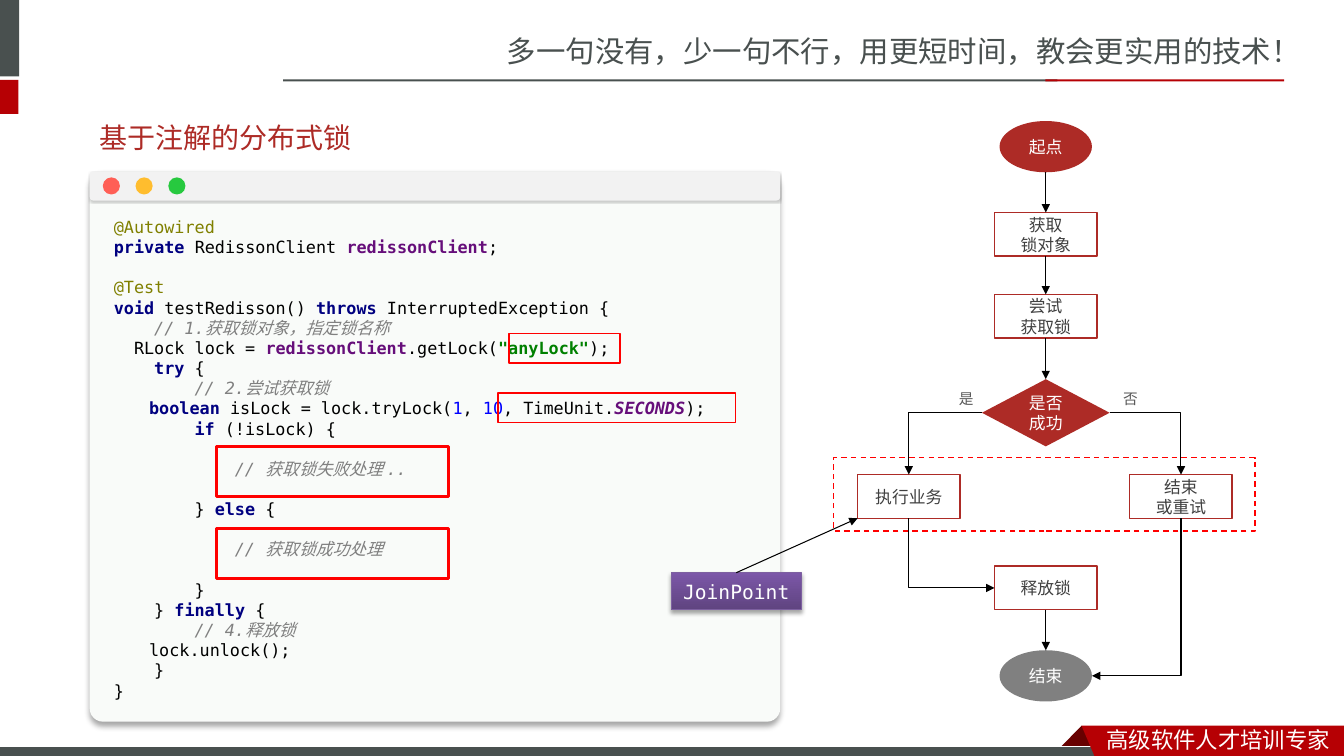
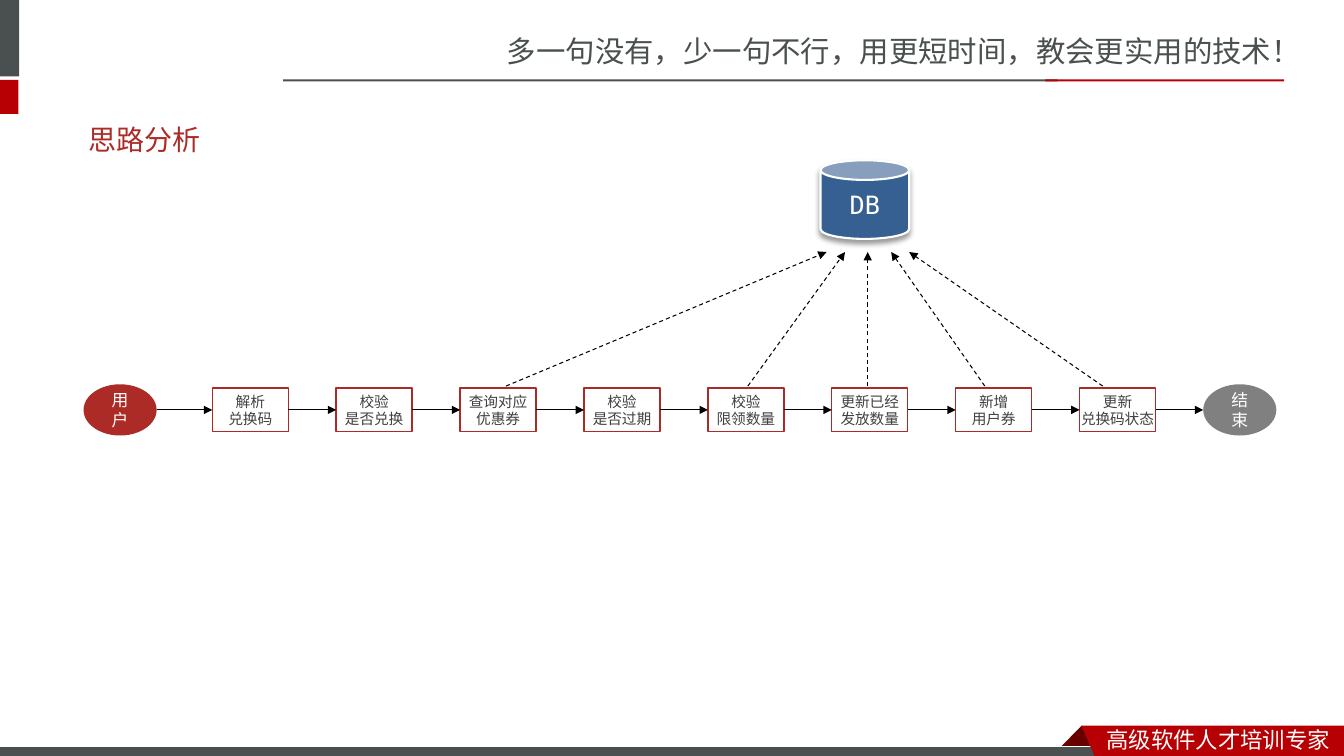
"""Build two slides on annotation-based locks and coupon redemption."""
import pptx
import pptx.dml.color
import pptx.enum.dml
import pptx.enum.shapes
import pptx.enum.text
import pptx.oxml.ns
import pptx.util
from lxml import etree

SHAPE = pptx.enum.shapes.MSO_SHAPE
LINK = pptx.enum.shapes.MSO_CONNECTOR
ALIGN = pptx.enum.text.PP_ALIGN
ANCHOR = pptx.enum.text.MSO_ANCHOR
Pt = pptx.util.Pt
qn = pptx.oxml.ns.qn

COLS, ROWS, CELL = 160, 90, 76200
TOP, LEFT, BOTTOM, RIGHT = range(4)
MONO, BODY, CJK, HEAD = "DejaVu Sans Mono", "Calibri", "Noto Sans CJK SC", "Lato"
SLATE, RED, BRICK, GREY, WHITE = "49504F", "B60004", "AD2B26", "808080", "FFFFFF"
BLACK, ALERT, INK = "000000", "FF0000", "404040"
CODE_SIZE, CODE_PITCH, CHAR = 12, 14.4, 1.2

TOKENS = {
    "plain": (BLACK, False, False),
    "key": ("000080", True, False),
    "note": ("808000", False, False),
    "field": ("660E7A", True, False),
    "const": ("660E7A", True, True),
    "str": ("008000", True, False),
    "num": ("0000FF", False, False),
    "rem": (GREY, False, True),
}

CODE = [
    (0, 0, [("note", "@Autowired")]),
    (0, 0, [("key", "private "), ("plain", "RedissonClient "),
            ("field", "redissonClient"), ("plain", ";")]),
    (0, 1, [("note", "@Test")]),
    (0, 0, [("key", "void "), ("plain", "testRedisson() "), ("key", "throws "),
            ("plain", "InterruptedException {")]),
    (4, 0, [("rem", "// 1.获取锁对象，指定锁名称")]),
    (2, 0, [("plain", "RLock lock = "), ("field", "redissonClient"),
            ("plain", ".getLock("), ("str", '"anyLock"'), ("plain", ");")]),
    (4, 0, [("key", "try "), ("plain", "{")]),
    (8, 0, [("rem", "// 2.尝试获取锁")]),
    (3.5, 0, [("key", "boolean "), ("plain", "isLock = lock.tryLock("),
              ("num", "1"), ("plain", ", "), ("num", "10"),
              ("plain", ", TimeUnit."), ("const", "SECONDS"), ("plain", ");")]),
    (8, 0, [("key", "if "), ("plain", "(!isLock) {")]),
    (12, 1, [("rem", "// 获取锁失败处理 ..")]),
    (8, 1, [("plain", "} "), ("key", "else "), ("plain", "{")]),
    (12, 1, [("rem", "// 获取锁成功处理")]),
    (8, 1, [("plain", "}")]),
    (4, 0, [("plain", "} "), ("key", "finally "), ("plain", "{")]),
    (8, 0, [("rem", "// 4.释放锁")]),
    (3.5, 0, [("plain", "lock.unlock();")]),
    (4, 0, [("plain", "}")]),
    (0, 0, [("plain", "}")]),
]


def rgb(value):
    """Turn a hex string into a colour."""
    return pptx.dml.color.RGBColor.from_string(value)


def cells(*values):
    """Turn grid cells into lengths."""
    return [pptx.util.Emu(round(v * CELL)) for v in values]


class Deck:
    """Hold the style, the presentation and the current slide."""

    def __init__(self):
        """Start an empty deck of the grid's size."""
        self.prs = pptx.Presentation()
        self.prs.slide_width, self.prs.slide_height = cells(COLS, ROWS)
        self.shapes = None

    def slide(self, title, x, y):
        """Add a slide with its frame and title."""
        self.shapes = self.prs.slides.add_slide(self.prs.slide_layouts[6]).shapes
        self.text(59.16, 3.36, 100.84, 5.6, ["多一句没有，少一句不行，用更短时间，教会更实用的技术！"],
                  21, SLATE, CJK)
        self.box(0, 0, 2.28, 9.1, SLATE)
        self.box(0, 9.5, 2.2, 4.06, RED)
        self.box(33.72, 9.45, 92.16, 0.24, SLATE)
        self.box(124.44, 9.45, 28.44, 0.24, RED)
        self.outline([(128.76, 86.4), (131.4, 89.1), (126.12, 89.1)], "680000")
        self.box(-0.12, 88.92, 132, 1.44, SLATE, WHITE, 0.75)
        self.outline([(128.76, 86.4), (COLS, 86.4), (COLS, ROWS), (130.3, ROWS)], RED)
        self.text(130.56, 85.8, 29.44, 4.44, ["高级软件人才培训专家"], 16, WHITE, CJK)
        self.text(x, y, 100, 7, [title], 20, BRICK, HEAD, anchor=ANCHOR.MIDDLE)

    def paint(self, sp, fill=None, line=None, width=1.0, dash=False):
        """Set the fill and line of a shape and clear its shadow."""
        sp.shadow.inherit = False
        if fill:
            sp.fill.solid()
            sp.fill.fore_color.rgb = rgb(fill)
        else:
            sp.fill.background()
        if line:
            sp.line.color.rgb = rgb(line)
            sp.line.width = Pt(width)
        else:
            sp.line.fill.background()
        if dash:
            sp.line.dash_style = pptx.enum.dml.MSO_LINE.DASH
        return sp

    def box(self, x, y, w, h, fill=None, line=None, width=1.0, kind=SHAPE.RECTANGLE,
            dash=False, adj=None):
        """Add a preset shape by its top left corner."""
        sp = self.shapes.add_shape(kind, *cells(x, y, w, h))
        if adj is not None:
            sp.adjustments[0] = adj
        return self.paint(sp, fill, line, width, dash)

    def outline(self, points, fill):
        """Add a filled polygon."""
        corners = [cells(*p) for p in points]
        fb = self.shapes.build_freeform(*corners[0], scale=1.0)
        fb.add_line_segments(corners[1:], close=True)
        return self.paint(fb.convert_to_shape(), fill)

    def shadow(self, sp, alpha, blur, dist):
        """Give a shape a black shadow that falls straight down."""
        effects = sp._element.spPr.find(qn("a:effectLst"))
        shade = etree.SubElement(effects, qn("a:outerShdw"), blurRad=str(Pt(blur)),
                                 dist=str(Pt(dist)), dir="5400000", rotWithShape="0")
        clr = etree.SubElement(shade, qn("a:srgbClr"), val=BLACK)
        etree.SubElement(clr, qn("a:alpha"), val=str(alpha * 1000))

    def label(self, sp, lines, size, color, font, align=ALIGN.CENTER,
              anchor=ANCHOR.MIDDLE, inset=1.2):
        """Fill a shape with one paragraph per line."""
        tf = sp.text_frame
        tf.word_wrap = True
        tf.vertical_anchor = anchor
        tf.margin_left, tf.margin_right = cells(inset, inset)
        for i, line in enumerate(lines):
            p = tf.add_paragraph() if i else tf.paragraphs[0]
            p.alignment = align
            p.font.size, p.font.name = Pt(size), font
            p.font.color.rgb = rgb(color)
            p.add_run().text = line
        return sp

    def text(self, x, y, w, h, lines, size, color, font, align=ALIGN.LEFT,
             anchor=ANCHOR.TOP, inset=1.2):
        """Add a text box."""
        sp = self.shapes.add_textbox(*cells(x, y, w, h))
        return self.label(sp, lines, size, color, font, align, anchor, inset)

    def code(self, x, y, w, h, lines):
        """Add a listing with coloured tokens."""
        tf = self.shapes.add_textbox(*cells(x, y, w, h)).text_frame
        tf.word_wrap = True
        tf.margin_left, tf.margin_right = cells(2.88, 2.88)
        for i, (indent, gap, tokens) in enumerate(lines):
            p = tf.add_paragraph() if i else tf.paragraphs[0]
            p.font.size, p.font.name = Pt(CODE_SIZE), MONO
            p.line_spacing = Pt(CODE_PITCH)
            p.space_before = Pt(CODE_PITCH * gap)
            p._p.get_or_add_pPr().set("marL", str(cells(indent * CHAR)[0]))
            for token, words in tokens:
                r = p.add_run()
                r.text = words
                color, r.font.bold, r.font.italic = TOKENS[token]
                r.font.color.rgb = rgb(color)

    def node(self, cx, cy, w, h, lines, fill=None, kind=SHAPE.RECTANGLE, size=12,
             font=BODY, inset=1.2):
        """Add a flow node by its centre, filled or outlined."""
        sp = self.box(cx - w / 2, cy - h / 2, w, h, fill, None if fill else BRICK, kind=kind)
        return self.label(sp, lines, size, WHITE if fill else INK, font, inset=inset)

    def locate(self, end):
        """Find the point of a (shape, side) pair or of a grid point."""
        sp, side = end
        if isinstance(sp, (int, float)):
            return cells(*end)
        x = sp.left + sp.width * {LEFT: 0, RIGHT: 2}.get(side, 1) // 2
        y = sp.top + sp.height * {TOP: 0, BOTTOM: 2}.get(side, 1) // 2
        return [x, y]

    def arrow(self, start, end, bent=False, back=False, dash=False):
        """Add an arrow; a bent one leaves its start sideways."""
        sp = self.shapes.add_connector(LINK.ELBOW if bent else LINK.STRAIGHT,
                                       *self.locate(start), *self.locate(end))
        for (target, side), attach in ((start, sp.begin_connect), (end, sp.end_connect)):
            if (not bent and not isinstance(target, (int, float))
                    and target.auto_shape_type == SHAPE.RECTANGLE):
                attach(target, side)
        sp.line.color.rgb = rgb(BLACK)
        sp.line.width = Pt(0.75)
        if dash:
            sp.line.dash_style = pptx.enum.dml.MSO_LINE.DASH
        spPr = sp._element.spPr
        if bent:
            spPr.find(qn("a:prstGeom")).set("prst", "bentConnector2")
        etree.SubElement(spPr.find(qn("a:ln")), qn("a:headEnd" if back else "a:tailEnd"),
                         type="triangle")
        etree.SubElement(spPr, qn("a:effectLst"))


def lock_slide(deck):
    """Show the lock code beside its flow chart."""
    deck.slide("基于注解的分布式锁", 10.68, 12.8)
    window = deck.box(10.68, 20.4, 82.2, 65.52, "F9FBF9", kind=SHAPE.ROUNDED_RECTANGLE, adj=0.024)
    deck.shadow(window, 34, 4, 3)
    deck.code(10.68, 25.2, 83.16, 59.4, CODE)
    bar = deck.box(10.68, 20.4, 82.2, 3.48, "F2F2F2", kind=SHAPE.ROUNDED_RECTANGLE, adj=0.128)
    deck.shadow(bar, 20, 1, 1)
    for i, color in enumerate(("FF5F56", "FFBD2E", "27C93F")):
        deck.box(12.24 + 3.9 * i, 21.12, 2.04, 2.04, color, kind=SHAPE.OVAL)
    for x, y, w, h, width in ((25.8, 53.16, 27.6, 6, 2), (25.8, 62.88, 27.6, 6, 2),
                              (59.28, 46.8, 28.32, 3.48, 1), (60.6, 39.72, 13.2, 3.48, 1)):
        deck.box(x, y, w, h, None, ALERT, width)

    yes, mid, no = 108.2, 124.5, 140.6
    step = (12.2, 5.2)
    deck.box(99.24, 54.48, 50.16, 8.76, None, ALERT, dash=True)
    begin = deck.node(mid, 17.46, 11, 6.1, ["起点"], BRICK, SHAPE.OVAL)
    get = deck.node(mid, 27.9, *step, ["获取", "锁对象"])
    attempt = deck.node(mid, 37.65, *step, ["尝试", "获取锁"])
    check = deck.node(mid, 49.14, 15.2, 8, ["是否", "成功"], BRICK,
                      SHAPE.FLOWCHART_DECISION, font=MONO)
    work = deck.node(yes, 59.1, *step, ["执行业务"])
    retry = deck.node(no, 59.1, *step, ["结束", "或重试"])
    release = deck.node(mid, 70, *step, ["释放锁"])
    finish = deck.node(mid, 80.46, 11, 6.1, ["结束"], GREY, SHAPE.OVAL)
    for a, b in ((begin, get), (get, attempt), (attempt, check), (release, finish)):
        deck.arrow((a, BOTTOM), (b, TOP))
    deck.arrow((check, LEFT), (work, TOP), bent=True)
    deck.arrow((check, RIGHT), (retry, TOP), bent=True)
    deck.arrow((release, LEFT), (work, BOTTOM), bent=True, back=True)
    deck.arrow((finish, RIGHT), (retry, BOTTOM), bent=True, back=True)
    for x, word in ((112.92, "是"), (132.48, "否")):
        deck.text(x, 45.84, 4.2, 3.36, [word], 10.5, "595959", MONO, ALIGN.CENTER, inset=0)

    point = deck.node(87.66, 70.4, 15.48, 4.44, ["JoinPoint"], "7C57A8", size=14, font=MONO)
    point.fill.gradient()
    point.fill.gradient_angle = 90
    for stop, color in zip(point.fill.gradient_stops, ("5F4480", "7C57A8")):
        stop.color.rgb = rgb(color)
    point.line.color.rgb = rgb("7D60A0")
    point.line.width = Pt(0.75)
    deck.shadow(point, 35, 3.1, 1.8)
    deck.arrow((point, TOP), (102.1, 61.7))


def redeem_slide(deck):
    """Show the redemption chain and its database calls."""
    deck.slide("思路分析", 9.36, 13.12)
    steps = [["解析", "兑换码"], ["校验", "是否兑换"], ["查询对应", "优惠券"], ["校验", "是否过期"],
             ["校验", "限领数量"], ["更新已经", "发放数量"], ["新增", "用户券"], ["更新", "兑换码状态"]]
    row = 48.8
    chain = [deck.node(14.3, row, 8.7, 6.1, ["用户"], BRICK, SHAPE.OVAL)]
    chain += [deck.node(29.8 + 14.75 * i, row, 9.05, 5.2, lines, size=10.5, inset=0)
              for i, lines in enumerate(steps)]
    chain.append(deck.node(147.6, row, 8.7, 6.1, ["结束"], GREY, SHAPE.OVAL))
    for a, b in zip(chain, chain[1:]):
        deck.arrow((a, RIGHT), (b, LEFT))

    db = deck.box(97.68, 19.08, 10.56, 9.36, "376092", WHITE, 1.5, SHAPE.CAN)
    deck.label(db, ["DB"], 18, WHITE, MONO)
    deck.shadow(db, 40, 4, 3)
    for x, target in ((60.24, 98.4), (89.04, 100.6), (103.3, 103.3),
                      (117.24, 106.1), (131.28, 108.24)):
        deck.arrow((x, 45.96), (target, 30), dash=True)


def main():
    """Build and save the deck."""
    deck = Deck()
    lock_slide(deck)
    redeem_slide(deck)
    deck.prs.save("out.pptx")


if __name__ == "__main__":
    main()
